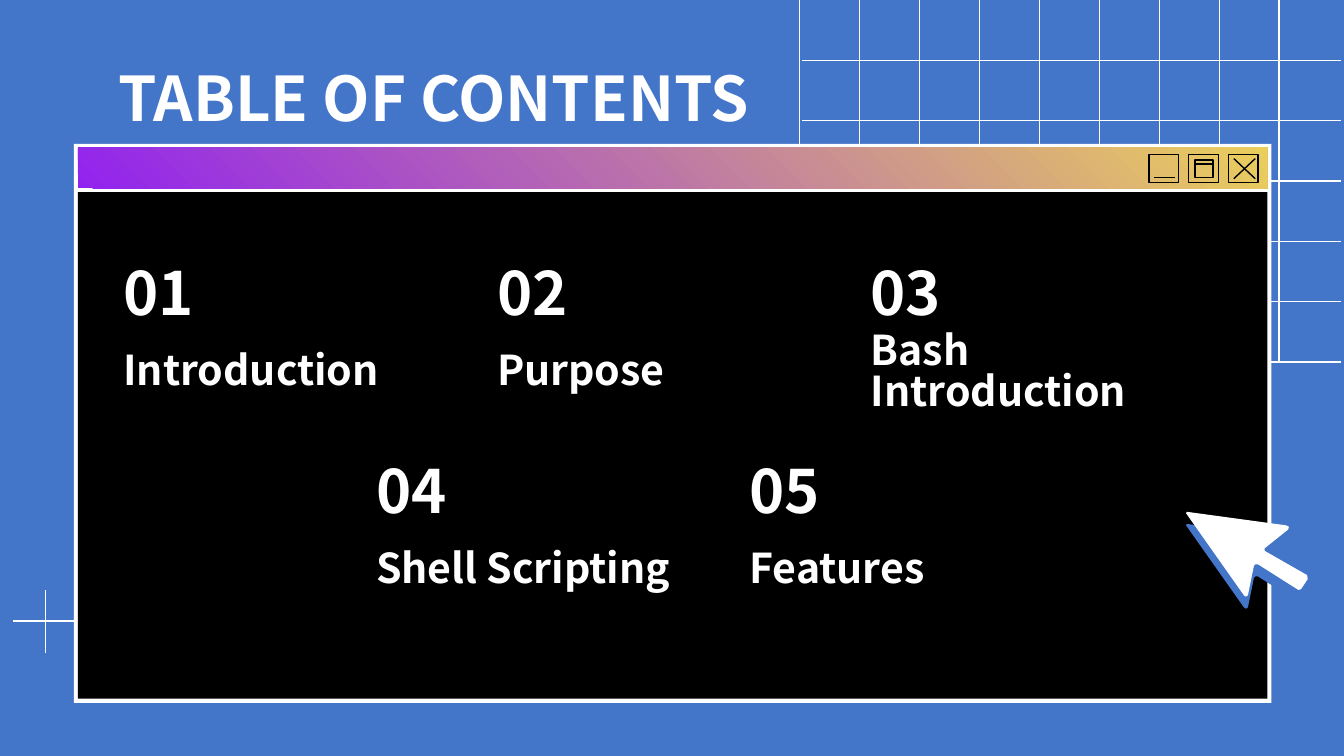
"""Build a table of contents slide styled as a desktop window."""
from typing import NamedTuple

from lxml import etree
from pptx import Presentation
from pptx import util as u
from pptx.dml.color import RGBColor
from pptx.enum import shapes, text
from pptx.oxml import ns

COLUMNS, ROWS = 100, 56.25
UNIT = u.Inches(0.1)
FONT = "Noto Sans CJK KR"
COLOURS = {
    "blue": "4375C9",
    "white": "FFFFFF",
    "black": "000000",
    "purple": "9223EE",
    "gold": "EACE5C",
}


class Area(NamedTuple):
    column: float
    row: float
    width: float
    height: float


class Line(NamedTuple):
    column: float
    row: float
    end_column: float
    end_row: float


class Entry(NamedTuple):
    column: float
    row: float
    number: str
    label: str


ENTRY_WIDTH = 27.8
ENTRIES = [
    Entry(8.2, 18.6, "01", "Introduction"),
    Entry(8.2 + ENTRY_WIDTH, 18.6, "02", "Purpose"),
    Entry(8.2 + 2 * ENTRY_WIDTH, 18.6, "03", "Bash Introduction"),
    Entry(27, 33.3, "04", "Shell Scripting"),
    Entry(27 + ENTRY_WIDTH, 33.3, "05", "Features"),
]
CURSOR = [
    (88.3, 38.1), (88.25, 38.2), (92.55, 44.3), (92.7, 44.4), (92.85, 44.3),
    (93.3, 42.1), (93.4, 42), (93.6, 42), (96.6, 43.9), (96.8, 43.85),
    (97.3, 43.1), (97.25, 42.8), (94.1, 41), (94.1, 40.8), (95.85, 39.4),
    (95.9, 39.2), (95.7, 39.1), (88.4, 38.1),
]


def length(units: float) -> int:
    """Convert grid units to slide lengths."""
    return round(units * UNIT)


def colour(name: str) -> RGBColor:
    """Look up a colour by name."""
    return RGBColor.from_string(COLOURS[name])


def add_line(page, line: Line, ink: str) -> None:
    """Draw a thin straight line."""
    connector = page.shapes.add_connector(shapes.MSO_CONNECTOR.STRAIGHT, *map(length, line))
    connector.line.color.rgb = colour(ink)
    connector.line.width = u.Pt(0.75)
    etree.SubElement(connector.element.spPr, ns.qn("a:effectLst"))


def add_panel(page, area: Area, fill: str = "", ink: str = ""):
    """Draw a rectangle with an optional fill and outline."""
    panel = page.shapes.add_shape(shapes.MSO_SHAPE.RECTANGLE, *map(length, area))
    panel.shadow.inherit = False
    if fill:
        panel.fill.solid()
        panel.fill.fore_color.rgb = colour(fill)
    else:
        panel.fill.background()
    if ink:
        panel.line.color.rgb = colour(ink)
        panel.line.width = u.Pt(0.75)
    else:
        panel.line.fill.background()
    return panel


def add_text(page, area: Area, wording: str, *, size: float, spacing: float = 1.0) -> None:
    """Write bold white text, centred vertically in its area."""
    box = page.shapes.add_textbox(*map(length, area))
    frame = box.text_frame
    frame.word_wrap = True
    frame.vertical_anchor = text.MSO_ANCHOR.MIDDLE
    frame.margin_left = frame.margin_right = UNIT
    frame.margin_top = frame.margin_bottom = UNIT
    para = frame.paragraphs[0]
    para.line_spacing = spacing
    span = para.add_run()
    span.text = wording
    span.font.name = FONT
    span.font.size = u.Pt(size)
    span.font.bold = True
    span.font.color.rgb = colour("white")


def add_backdrop(page) -> None:
    """Draw the plus mark and the grid behind the window."""
    add_line(page, Line(1, 46.2, 5.7, 46.2), "white")
    add_line(page, Line(3.4, 43.9, 3.4, 48.6), "white")
    for index in range(9):
        column = 59.5 + 4.46 * index
        add_line(page, Line(column, 0, column, 27), "white")
    for index in range(1, 7):
        add_line(page, Line(59.7, 4.49 * index, 99.8, 4.49 * index), "white")


def add_window(page) -> None:
    """Draw the window, its title bar and its three buttons."""
    add_panel(page, Area(5.5, 10.7, 89.1, 41.6), "white")
    add_panel(page, Area(5.8, 14.3, 88.5, 37.7), "black")
    bar = add_panel(page, Area(5.8, 11, 88.5, 3))
    bar.fill.gradient()
    bar.fill.gradient_angle = 45
    for stop, name, position in zip(bar.fill.gradient_stops, ("purple", "gold"), (0, 1)):
        stop.color.rgb = colour(name)
        stop.position = position
    for index in range(3):
        add_panel(page, Area(85.5 + 2.95 * index, 11.5, 2.2, 2.1), ink="black")
    add_line(page, Line(85.9, 13.2, 87.4, 13.2), "black")
    add_panel(page, Area(88.9, 11.9, 1.35, 1.3), ink="black")
    add_line(page, Line(88.9, 12.2, 90.25, 12.2), "black")
    add_line(page, Line(91.8, 13.3, 93.4, 11.8), "black")
    add_line(page, Line(91.8, 11.8, 93.4, 13.3), "black")


def add_entry(page, entry: Entry) -> None:
    """Write one numbered entry."""
    add_text(page, Area(entry.column, entry.row, ENTRY_WIDTH, 6.2), entry.number, size=32)
    label_area = Area(entry.column, entry.row + 7.45, ENTRY_WIDTH, 3.5)
    add_text(page, label_area, entry.label, size=22, spacing=0.83)


def add_cursor(page, drop: float, fill: str) -> None:
    """Draw the arrow pointer, lowered by the given drop."""
    points = [(length(column), length(row + drop)) for column, row in CURSOR]
    builder = page.shapes.build_freeform(*points[0])
    builder.add_line_segments(points[1:], close=True)
    pointer = builder.convert_to_shape()
    pointer.shadow.inherit = False
    pointer.fill.solid()
    pointer.fill.fore_color.rgb = colour(fill)
    pointer.line.fill.background()


def main() -> None:
    """Build and save the deck."""
    deck = Presentation()
    deck.slide_width, deck.slide_height = length(COLUMNS), length(ROWS)
    page = deck.slides.add_slide(deck.slide_layouts[6])
    page.background.fill.solid()
    page.background.fill.fore_color.rgb = colour("blue")
    add_backdrop(page)
    add_window(page)
    add_text(page, Area(7.8, 4.6, 84.2, 5.2), "TABLE OF CONTENTS", size=33)
    for entry in ENTRIES:
        add_entry(page, entry)
    add_cursor(page, 0.9, "blue")
    add_cursor(page, 0, "white")
    deck.save("out.pptx")


if __name__ == "__main__":
    main()
